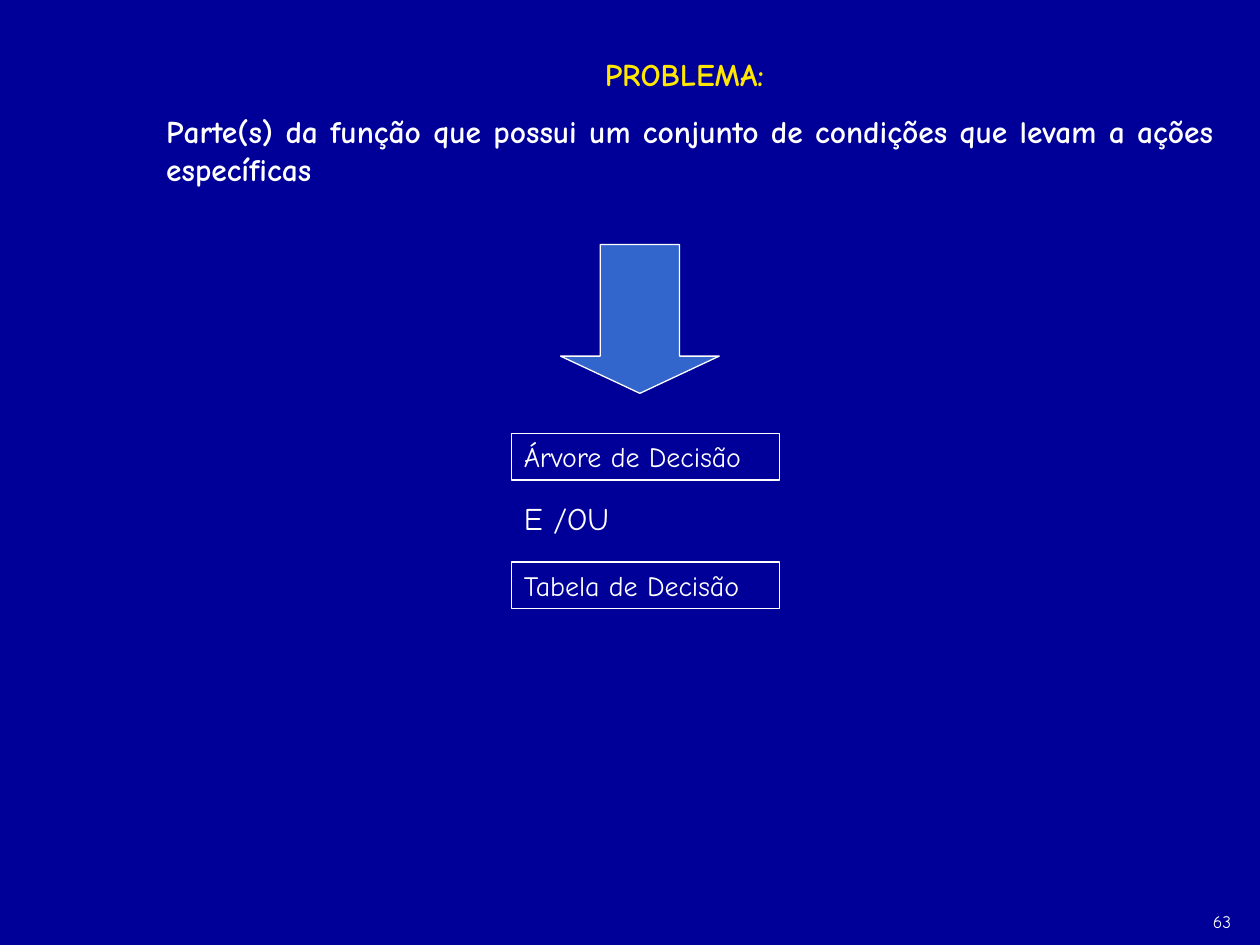
import pptx
import pptx.dml.color
import pptx.enum.shapes
import pptx.enum.text
import pptx.oxml
import pptx.util
from pptx.util import Cm

ALIGN = pptx.enum.text.PP_ALIGN
SHAPE = pptx.enum.shapes.MSO_SHAPE
WHITE = "FFFFFF"


def rgb(value):
    return pptx.dml.color.RGBColor.from_string(value)


def write(sp, text, size, color=WHITE, bold=False, align=ALIGN.LEFT, wrap=True):
    tf = sp.text_frame
    frame_format = {
        "word_wrap": wrap,
        "auto_size": pptx.enum.text.MSO_AUTO_SIZE.NONE,
        "vertical_anchor": pptx.enum.text.MSO_ANCHOR.TOP,
        "margin_left": Cm(0.25), "margin_right": Cm(0.25),
        "margin_top": Cm(0.13), "margin_bottom": Cm(0.13),
    }
    for name, value in frame_format.items():
        setattr(tf, name, value)
    p = tf.paragraphs[0]
    p.alignment = align
    p.space_before = pptx.util.Pt(0)
    r = p.add_run()
    r.text = text
    font_format = {"name": "Comic Neue", "size": pptx.util.Pt(size), "bold": bold}
    for name, value in font_format.items():
        setattr(r.font, name, value)
    r.font.color.rgb = rgb(color)


prs = pptx.Presentation()
prs.slide_width, prs.slide_height = Cm(25.4), Cm(19.05)
s = prs.slides.add_slide(prs.slide_layouts[1])
s.background.fill.solid()
s.background.fill.fore_color.rgb = rgb("000099")

# Title and problem statement
title, body = s.placeholders
for sp, top, height in ((title, 0.97, 1.1), (body, 2.13, 1.8)):
    sp.left, sp.top, sp.width, sp.height = Cm(3.1), Cm(top), Cm(21.62), Cm(height)
write(title, "PROBLEMA: ", 18, "FFE701", bold=True, align=ALIGN.CENTER)
write(body, "Parte(s) da função que possui um conjunto de condições "
      "que levam a ações específicas", 18, bold=True, align=ALIGN.JUSTIFY)
pPr = body.text_frame.paragraphs[0]._p.get_or_add_pPr()
pPr.set("marL", "0")
pPr.set("indent", "0")
pptx.oxml.ns  # namespace table used by the bullet element below
pPr.append(pptx.oxml.parse_xml(
    '<a:buNone xmlns:a="http://schemas.openxmlformats.org/drawingml/2006/main"/>'))

# Arrow and the two decision techniques
arrow = s.shapes.add_shape(SHAPE.DOWN_ARROW, Cm(11.3), Cm(4.93), Cm(3.2), Cm(3))
arrow.adjustments[0], arrow.adjustments[1] = 0.5, 0.25
arrow.fill.solid()
arrow.fill.fore_color.rgb = rgb("3366CC")

boxes = []
for text, top in (("Árvore de Decisão", 8.74), ("Tabela de Decisão", 11.33)):
    box = s.shapes.add_shape(SHAPE.RECTANGLE, Cm(10.31), Cm(top), Cm(5.41), Cm(0.94))
    box.fill.background()
    write(box, text, 16)
    boxes.append(box)

for sp in [arrow] + boxes:
    sp.shadow.inherit = False
    sp.line.color.rgb = rgb(WHITE)
    sp.line.width = pptx.util.Pt(0.75)

# Connecting words and slide number
for text, size, left, top, width, height in (
    ("E /OU", 18, 10.31, 9.93, 2.41, 1.02),
    ("63", 10, 24.2, 18.24, 1.2, 0.69),
):
    sp = s.shapes.add_textbox(Cm(left), Cm(top), Cm(width), Cm(height))
    write(sp, text, size, wrap=False)

prs.save("out.pptx")
